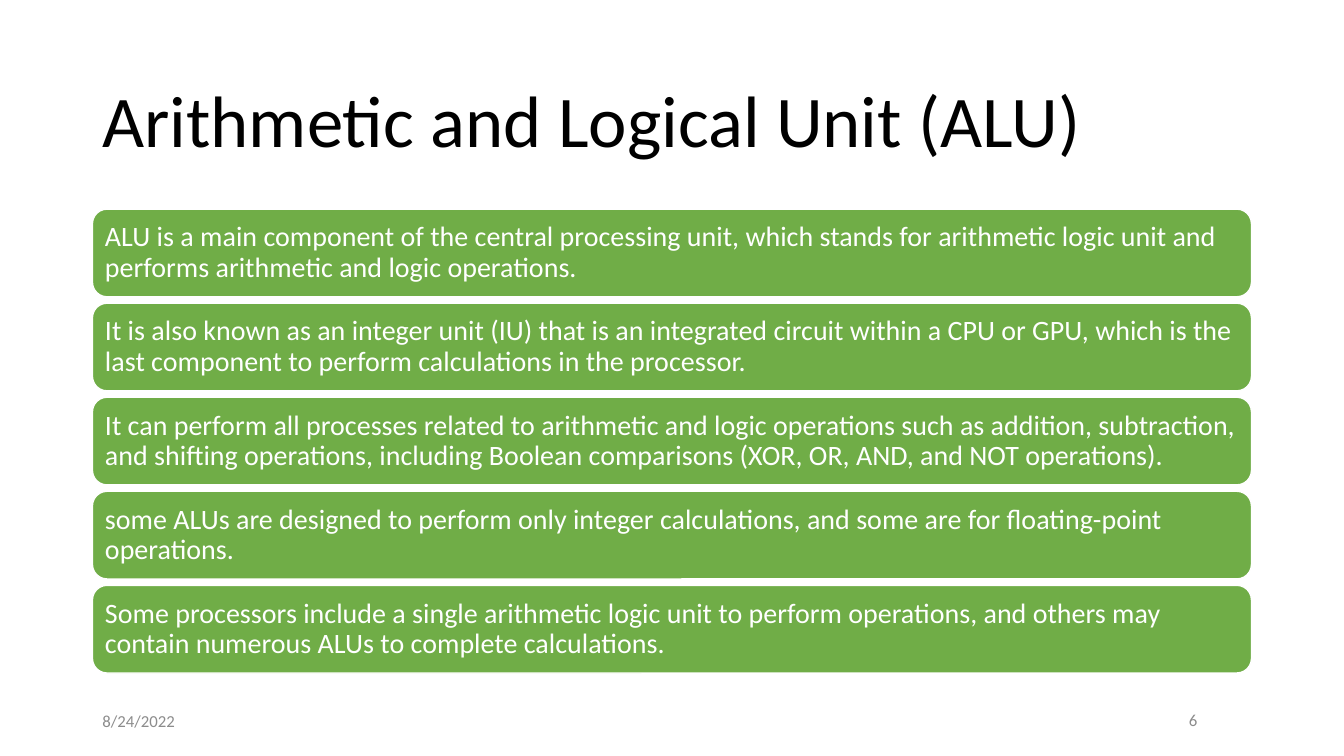
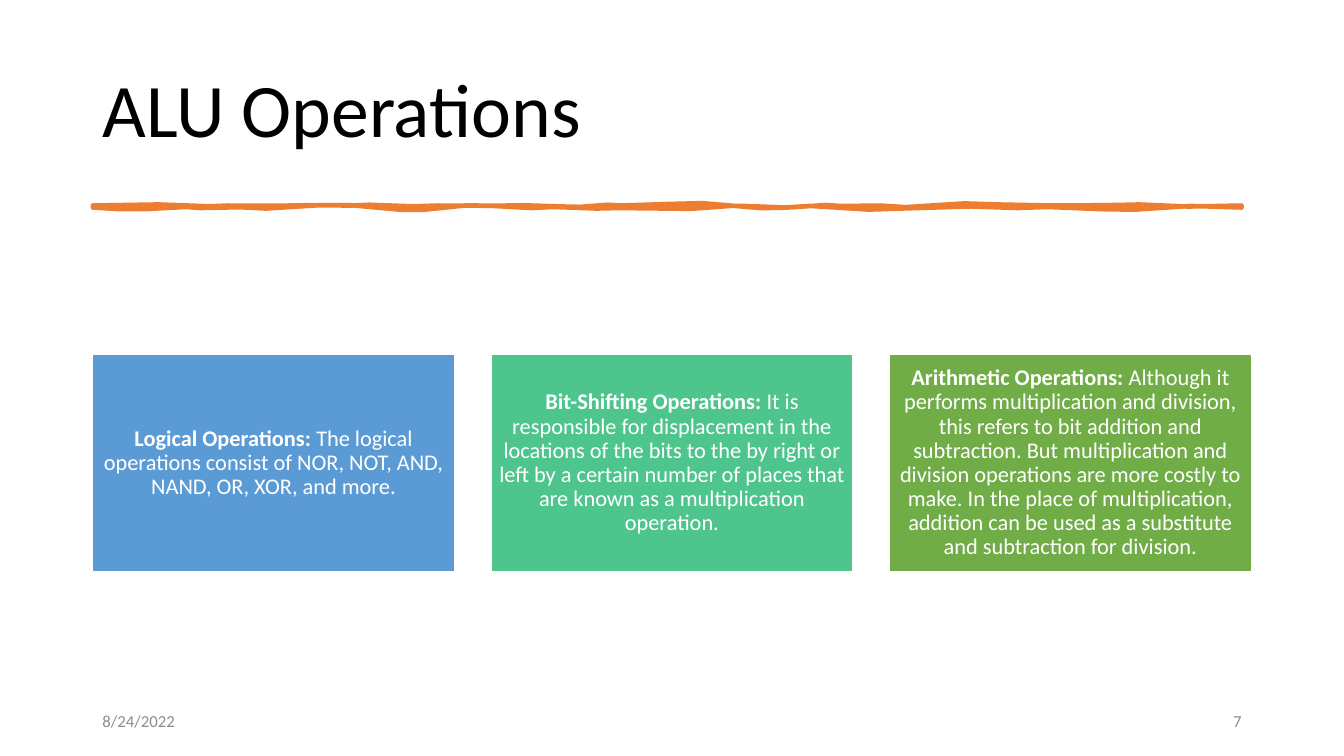
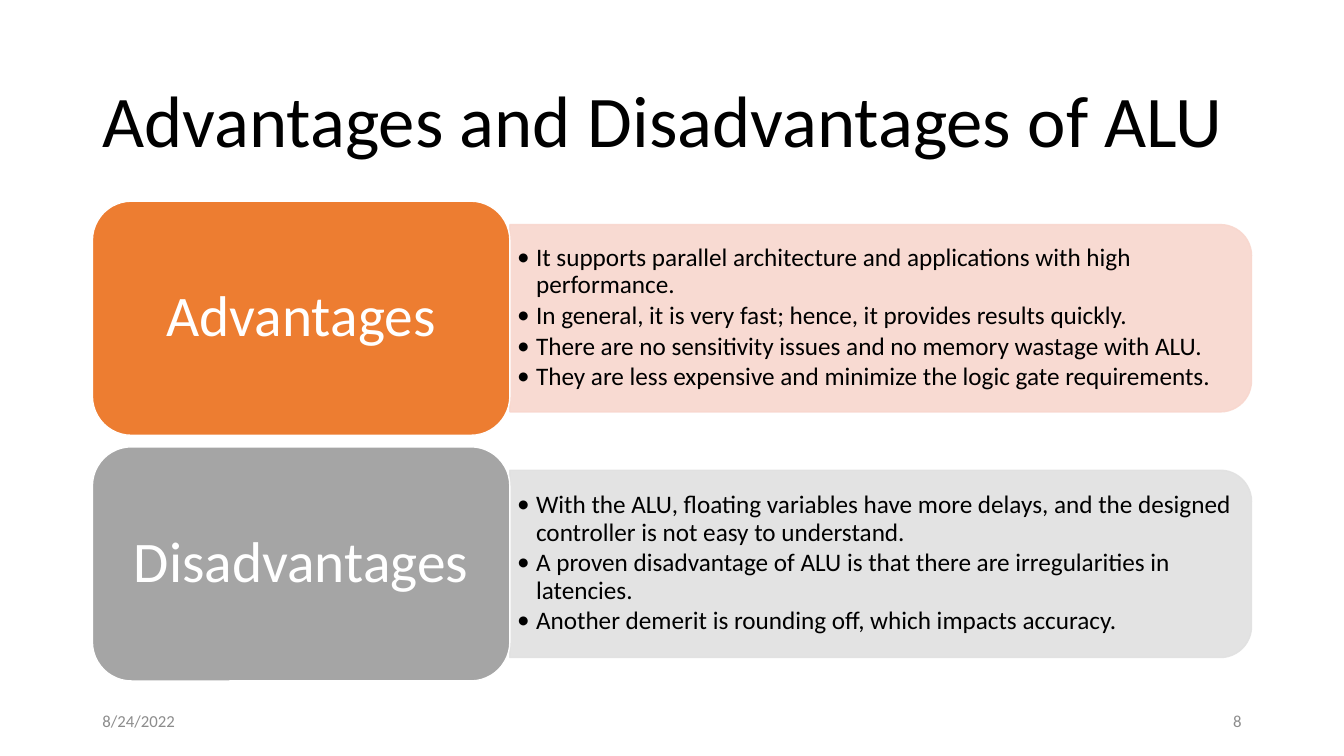
from lxml import etree
from pptx import Presentation
from pptx import util as u
from pptx.dml.color import RGBColor
from pptx.enum import shapes, text
from pptx.oxml import ns

Cm, Pt = u.Cm, u.Pt
KIND = shapes.MSO_SHAPE
LEFT, MID, RIGHT = text.PP_ALIGN.LEFT, text.PP_ALIGN.CENTER, text.PP_ALIGN.RIGHT

BLACK = RGBColor(0x00, 0x00, 0x00)
WHITE = RGBColor(0xFF, 0xFF, 0xFF)
FAINT = RGBColor(0x8C, 0x8C, 0x8C)
GREEN = RGBColor(0x70, 0xAD, 0x47)
TEAL = RGBColor(0x4D, 0xC5, 0x8D)
BLUE = RGBColor(0x5B, 0x9B, 0xD5)
AMBER = RGBColor(0xED, 0x7D, 0x31)
GRAY = RGBColor(0xA5, 0xA5, 0xA5)
PEACH = RGBColor(0xF8, 0xD7, 0xCE)
SILVER = RGBColor(0xE1, 0xE1, 0xE1)

FONT = "Calibri"
EDGE, WIDE = 2.33, 29.21  # left margin and content width, cm


def panel(page, kind, left, top, width, height, fill=None, line=WHITE):
    """Add a flat shape; without a fill it has no outline either."""
    item = page.shapes.add_shape(kind, Cm(left), Cm(top), Cm(width), Cm(height))
    item.shadow.inherit = False
    if fill is None:
        item.fill.background()
        item.line.fill.background()
    else:
        item.fill.solid()
        item.fill.fore_color.rgb = fill
        item.line.color.rgb = line
        item.line.width = Pt(1)
    return item


def write(item, paras, size, color, align=LEFT, pad=(0.25, 0.13), bullet=False, gap=0.9):
    """Fill an item with paragraphs, each a list of (text, bold) runs."""
    frame = item.text_frame
    frame.word_wrap = True
    frame.auto_size = text.MSO_AUTO_SIZE.NONE
    frame.vertical_anchor = text.MSO_ANCHOR.MIDDLE
    frame.margin_left = frame.margin_right = Cm(pad[0])
    frame.margin_top = frame.margin_bottom = Cm(pad[1])
    for i, runs in enumerate(paras):
        para = frame.add_paragraph() if i else frame.paragraphs[0]
        if bullet:
            props = para._p.get_or_add_pPr()
            props.set("marL", str(Cm(0.48)))
            props.set("indent", str(-Cm(0.48)))
            etree.SubElement(props, ns.qn("a:buFont")).set("typeface", FONT)
            etree.SubElement(props, ns.qn("a:buChar")).set("char", "•")
            para.space_after = Pt(2.5)
        para.alignment = align
        para.line_spacing = gap
        for words, bold in runs:
            run = para.add_run()
            run.text = words
            run.font.name = FONT
            run.font.size = Pt(size)
            run.font.bold = bold
            run.font.color.rgb = color


deck = Presentation()
deck.slide_width, deck.slide_height = Cm(33.87), Cm(19.05)

# Shared parts: title, date and slide number
heads = [
    ("Arithmetic and Logical Unit (ALU)", 52, 1.55, 3.15, KIND.OVAL, 0.9),
    ("ALU Operations", 54, 1.02, 3.68, KIND.RECTANGLE, 1.0),
    ("Advantages and Disadvantages of ALU", 52, 1.55, 3.15, KIND.RECTANGLE, 1.0),
]
pages = []
for num, (name, size, top, height, kind, gap) in enumerate(heads, 6):
    page = deck.slides.add_slide(deck.slide_layouts[5])
    title = page.shapes.title
    title.left, title.top = Cm(EDGE), Cm(top)
    title.width, title.height = Cm(WIDE), Cm(height)
    write(title, [[(name, False)]], size, BLACK)
    date = page.shapes.add_textbox(Cm(EDGE), Cm(17.66), Cm(7.62), Cm(1.01))
    write(date, [[("8/24/2022", False)]], 12, FAINT, gap=1.0)
    count = panel(page, kind, EDGE + WIDE - 7.62, 17.66, 7.62, 1.01)
    write(count, [[(str(num), False)]], 12, FAINT, RIGHT, gap=gap)
    pages.append(page)
unit, ops, merits = pages

# Slide 1: stacked facts
facts = [
    "ALU is a main component of the central processing unit, which stands for "
    "arithmetic logic unit and performs arithmetic and logic operations.",
    "It is also known as an integer unit (IU) that is an integrated circuit within "
    "a CPU or GPU, which is the last component to perform calculations in the processor.",
    "It can perform all processes related to arithmetic and logic operations such as "
    "addition, subtraction, and shifting operations, including Boolean comparisons "
    "(XOR, OR, AND, and NOT operations).",
    "some ALUs are designed to perform only integer calculations, and some are for "
    "floating-point operations.",
    "Some processors include a single arithmetic logic unit to perform operations, "
    "and others may contain numerous ALUs to complete calculations.",
]
for i, fact in enumerate(facts):
    bar = panel(unit, KIND.ROUNDED_RECTANGLE, EDGE, 5.27 + 2.37 * i, WIDE, 2.21, GREEN)
    write(bar, [[(fact, False)]], 20, WHITE, pad=(0.21, 0.21))

# Slide 2: brush stroke; each arc is (end x, first bend, second bend)
upper = [
    (4.83, 0, -2), (6.2, 2, -1), (8.41, 1, -1), (9.75, 1, -2),
    (11.68, 2, -1), (13.92, 1, -1), (14.96, 1, 2), (16.03, -2, 1),
    (18.54, -1, -4), (20.47, 4, 2), (21.54, -2, 2), (23.47, -2, 4),
    (25.98, -4, 0), (27.61, 0, 0), (29.26, 0, -2), (31.29, 2, 0),
]
lower = [
    (29.36, 0, -3), (27.13, 3, 2), (24.92, -2, 2), (23.57, -2, 0),
    (21.06, 0, 4), (19.13, -4, 2), (18.06, -2, -2), (16.13, 2, 1),
    (14.48, 0, 2), (12.85, -2, 2), (11.2, -2, -3), (9.58, 3, 3),
    (7.34, -3, -3), (5.41, 3, -2), (4.34, 2, -2), (2.34, 2, 2),
]
points = []
for start, base, arcs in ((2.34, 5.18, upper), (31.29, 5.23, lower)):
    points.append((Cm(start), Cm(base)))
    for end, one, two in arcs:
        for t in (1 / 3, 2 / 3):
            bend = 3 * t * (1 - t) * ((1 - t) * one + t * two)
            points.append((Cm(start + (end - start) * t), Cm(base + 0.03 * bend)))
        start = end
    points.append((Cm(start), Cm(base)))
pen = ops.shapes.build_freeform(*points[0])
pen.add_line_segments(points[1:], close=True)
stroke = pen.convert_to_shape()
stroke.shadow.inherit = False
stroke.fill.solid()
stroke.fill.fore_color.rgb = AMBER
stroke.line.color.rgb = AMBER
stroke.line.width = Pt(3.25)

# Slide 2: three kinds of operation
cards = [
    (BLUE, "Logical Operations:",
     " The logical operations consist of NOR, NOT, AND, NAND, OR, XOR, and more."),
    (TEAL, "Bit-Shifting Operations:",
     " It is responsible for displacement in the locations of the bits to the by right "
     "or left by a certain number of places that are known as a multiplication operation."),
    (GREEN, "Arithmetic Operations:",
     " Although it performs multiplication and division, this refers to bit addition and "
     "subtraction. But multiplication and division operations are more costly to make. "
     "In the place of multiplication, addition can be used as a substitute and "
     "subtraction for division."),
]
for i, (fill, head, body) in enumerate(cards):
    card = panel(ops, KIND.RECTANGLE, EDGE + 10.04 * i, 8.93, 9.13, 5.48, fill)
    write(card, [[(head, True), (body, False)]], 16, WHITE, MID, (0.17, 0.17))

# Slide 3: labelled lists
sides = [
    ("Advantages", AMBER, PEACH, [
        "It supports parallel architecture and applications with high performance.",
        "In general, it is very fast; hence, it provides results quickly.",
        "There are no sensitivity issues and no memory wastage with ALU.",
        "They are less expensive and minimize the logic gate requirements.",
    ]),
    ("Disadvantages", GRAY, SILVER, [
        "With the ALU, floating variables have more delays, and the designed "
        "controller is not easy to understand.",
        "A proven disadvantage of ALU is that there are irregularities in latencies.",
        "Another demerit is rounding off, which impacts accuracy.",
    ]),
]
tag_w, tag_h, list_w, list_h = 10.52, 5.9, 18.69, 4.72
list_x = EDGE + tag_w
for i, (name, fill, tint, notes) in enumerate(sides):
    top = 5.07 + 6.19 * i
    # The list panel is an upright shape turned by a quarter about its centre
    turn = (list_w - list_h) / 2
    back = panel(merits, KIND.ROUND_2_SAME_RECTANGLE, list_x + turn,
                 top + (tag_h - list_h) / 2 - turn, list_h, list_w, tint, tint)
    back.rotation = 90
    for tone in back._element.spPr.iter(ns.qn("a:srgbClr")):
        etree.SubElement(tone, ns.qn("a:alpha")).set("val", "90000")
    area = merits.shapes.add_textbox(Cm(list_x), Cm(top + 0.81), Cm(18.47), Cm(4.27))
    write(area, [[(note, False)] for note in notes], 18, BLACK,
          pad=(0.18, 0.1), bullet=True)
    tag = panel(merits, KIND.ROUNDED_RECTANGLE, EDGE, top, tag_w, tag_h, fill)
    write(tag, [[(name, False)]], 41, WHITE, MID, (0.43, 0.23))

deck.save("out.pptx")
